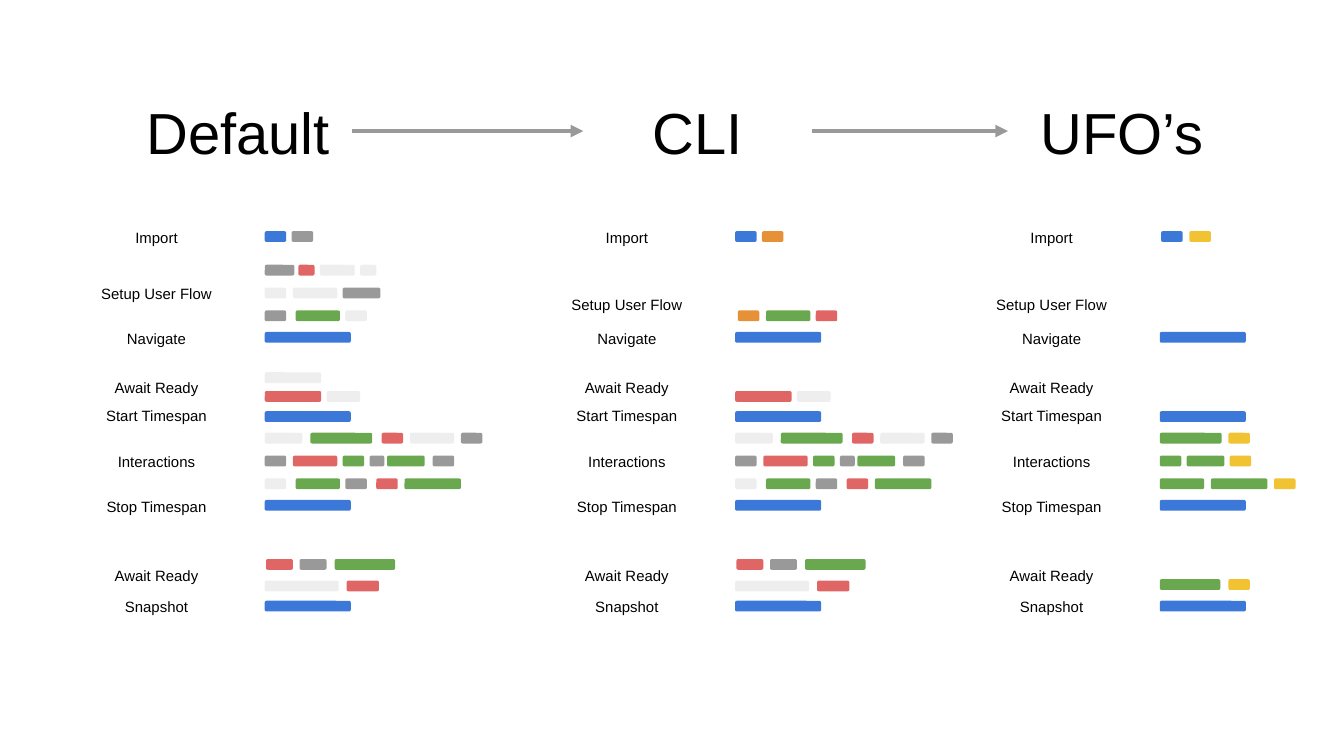
from dataclasses import dataclass

from lxml import etree
from pptx import Presentation
from pptx.dml.color import RGBColor
from pptx.enum.shapes import MSO_CONNECTOR, MSO_SHAPE
from pptx.enum.text import MSO_ANCHOR, PP_ALIGN
from pptx.oxml.ns import qn
from pptx.util import Inches, Pt


@dataclass(frozen=True)
class Theme:
    font: str = "Arial"
    title_size: float = 31
    label_size: float = 8
    arrow_width: float = 2.25
    text: str = "000000"
    blue: str = "3C78D8"
    grey: str = "999999"
    pale: str = "EEEEEE"
    red: str = "E06666"
    green: str = "6AA84F"
    orange: str = "E69138"
    yellow: str = "F1C232"


THEME = Theme()
BLUE, GREY, PALE, RED = THEME.blue, THEME.grey, THEME.pale, THEME.red
GREEN, ORANGE, YELLOW = THEME.green, THEME.orange, THEME.yellow

SLIDE_WIDTH = Inches(10)
SLIDE_HEIGHT = SLIDE_WIDTH * 9 // 16
COLUMN_TOP = 1.64
LABEL_WIDTH, LABEL_HEIGHT = 1.41, 0.25
BARS_LEFT = 1.51  # from the left of a column
BAR_HEIGHT = 0.08
TITLE_TOP, TITLE_WIDTH, TITLE_HEIGHT = 0.82, 1.7, 0.31

# Step labels with their distance below the column top
STEPS = [
    ("Import", 0), ("Setup User Flow", 0.5), ("Navigate", 0.75),
    ("Await Ready", 1.12), ("Start Timespan", 1.33), ("Interactions", 1.67),
    ("Stop Timespan", 2), ("Await Ready", 2.52), ("Snapshot", 2.75),
]

# Code lines: distance below the column top -> (colour, offset, width) of each bar
MILESTONES = {y: [(BLUE, 0, 0.64)] for y in (0.83, 1.42, 2.08, 2.83)}
HAND_WRITTEN = {
    1.27: [(RED, 0, 0.42), (PALE, 0.46, 0.25)],
    1.58: [(PALE, 0, 0.28), (GREEN, 0.34, 0.46), (RED, 0.87, 0.16),
           (PALE, 1.08, 0.33), (GREY, 1.46, 0.16)],
    1.75: [(GREY, 0, 0.16), (RED, 0.21, 0.33), (GREEN, 0.58, 0.16),
           (GREY, 0.78, 0.11), (GREEN, 0.91, 0.28), (GREY, 1.25, 0.16)],
    1.92: [(PALE, 0, 0.16), (GREEN, 0.23, 0.33), (GREY, 0.6, 0.16),
           (RED, 0.83, 0.16), (GREEN, 1.04, 0.42)],
    2.52: [(RED, 0.01, 0.2), (GREY, 0.26, 0.2), (GREEN, 0.52, 0.45)],
    2.68: [(PALE, 0, 0.55), (RED, 0.61, 0.24)],
}
DEFAULT_CODE = MILESTONES | HAND_WRITTEN | {
    0.08: [(BLUE, 0, 0.16), (GREY, 0.2, 0.16)],
    0.33: [(GREY, 0, 0.22), (RED, 0.25, 0.12), (PALE, 0.41, 0.26),
           (PALE, 0.71, 0.12)],
    0.5: [(PALE, 0, 0.16), (PALE, 0.21, 0.33), (GREY, 0.58, 0.28)],
    0.67: [(GREY, 0, 0.16), (GREEN, 0.23, 0.33), (PALE, 0.6, 0.16)],
    1.13: [(PALE, 0, 0.42)],
}
CLI_CODE = MILESTONES | HAND_WRITTEN | {
    0.08: [(BLUE, 0, 0.16), (ORANGE, 0.2, 0.16)],
    0.67: [(ORANGE, 0.02, 0.16), (GREEN, 0.23, 0.33), (RED, 0.6, 0.16)],
}
UFO_CODE = MILESTONES | {
    0.08: [(BLUE, 0.01, 0.16), (YELLOW, 0.22, 0.16)],
    1.58: [(GREEN, 0, 0.46), (YELLOW, 0.51, 0.16)],
    1.75: [(GREEN, 0, 0.16), (GREEN, 0.2, 0.28), (YELLOW, 0.52, 0.16)],
    1.92: [(GREEN, 0, 0.33), (GREEN, 0.38, 0.42), (YELLOW, 0.85, 0.16)],
    2.67: [(GREEN, 0, 0.45), (YELLOW, 0.51, 0.16)],
}


def add_text(slide, left, top, width, height, text, size):
    box = slide.shapes.add_textbox(
        Inches(left), Inches(top), Inches(width), Inches(height))
    frame = box.text_frame
    frame.word_wrap = True
    frame.vertical_anchor = MSO_ANCHOR.MIDDLE
    frame.margin_left = frame.margin_right = 0
    frame.margin_top = frame.margin_bottom = 0
    frame.text = text
    paragraph = frame.paragraphs[0]
    paragraph.alignment = PP_ALIGN.CENTER
    font = paragraph.runs[0].font
    font.name = THEME.font
    font.size = Pt(size)
    font.color.rgb = RGBColor.from_string(THEME.text)
    return box


def add_bar(slide, left, top, width, colour):
    bar = slide.shapes.add_shape(
        MSO_SHAPE.ROUNDED_RECTANGLE,
        Inches(left), Inches(top), Inches(width), Inches(BAR_HEIGHT))
    bar.shadow.inherit = False
    bar.fill.solid()
    bar.fill.fore_color.rgb = RGBColor.from_string(colour)
    bar.line.fill.background()


def add_code_column(slide, left, top, code, setup_shift=0):
    """Place the step labels and, to their right, the code lines as bars."""
    for step, offset in STEPS:
        shift = setup_shift if step == "Setup User Flow" else 0
        add_text(slide, left, top + offset + shift, LABEL_WIDTH, LABEL_HEIGHT,
                 step, THEME.label_size)
    for y, bars in code.items():
        for colour, x, width in bars:
            add_bar(slide, left + BARS_LEFT + x, top + y, width, colour)


def add_title_arrow(slide, source, target):
    arrow = slide.shapes.add_connector(MSO_CONNECTOR.STRAIGHT, 0, 0, 0, 0)
    arrow.begin_connect(source, 3)
    arrow.end_connect(target, 1)
    arrow.line.width = Pt(THEME.arrow_width)
    arrow.line.color.rgb = RGBColor.from_string(THEME.grey)
    outline = arrow._element.spPr.find(qn("a:ln"))
    etree.SubElement(outline, qn("a:tailEnd"), type="triangle")
    etree.SubElement(arrow._element.spPr, qn("a:effectLst"))


def add_title_row(slide, titles):
    """Place the (text, left) titles and join neighbours with arrows."""
    boxes = [add_text(slide, left, TITLE_TOP, TITLE_WIDTH, TITLE_HEIGHT,
                      text, THEME.title_size) for text, left in titles]
    for source, target in zip(boxes, boxes[1:]):
        add_title_arrow(slide, source, target)


def main():
    deck = Presentation()
    deck.slide_width, deck.slide_height = SLIDE_WIDTH, SLIDE_HEIGHT
    slide = deck.slides.add_slide(deck.slide_layouts[6])
    add_code_column(slide, 0.46, COLUMN_TOP, DEFAULT_CODE, setup_shift=-0.08)
    add_code_column(slide, 3.96, COLUMN_TOP, CLI_CODE)
    add_code_column(slide, 7.12, COLUMN_TOP, UFO_CODE)
    add_title_row(slide, [("Default", 0.92), ("CLI", 4.34), ("UFO’s", 7.5)])
    deck.save("out.pptx")


if __name__ == "__main__":
    main()
